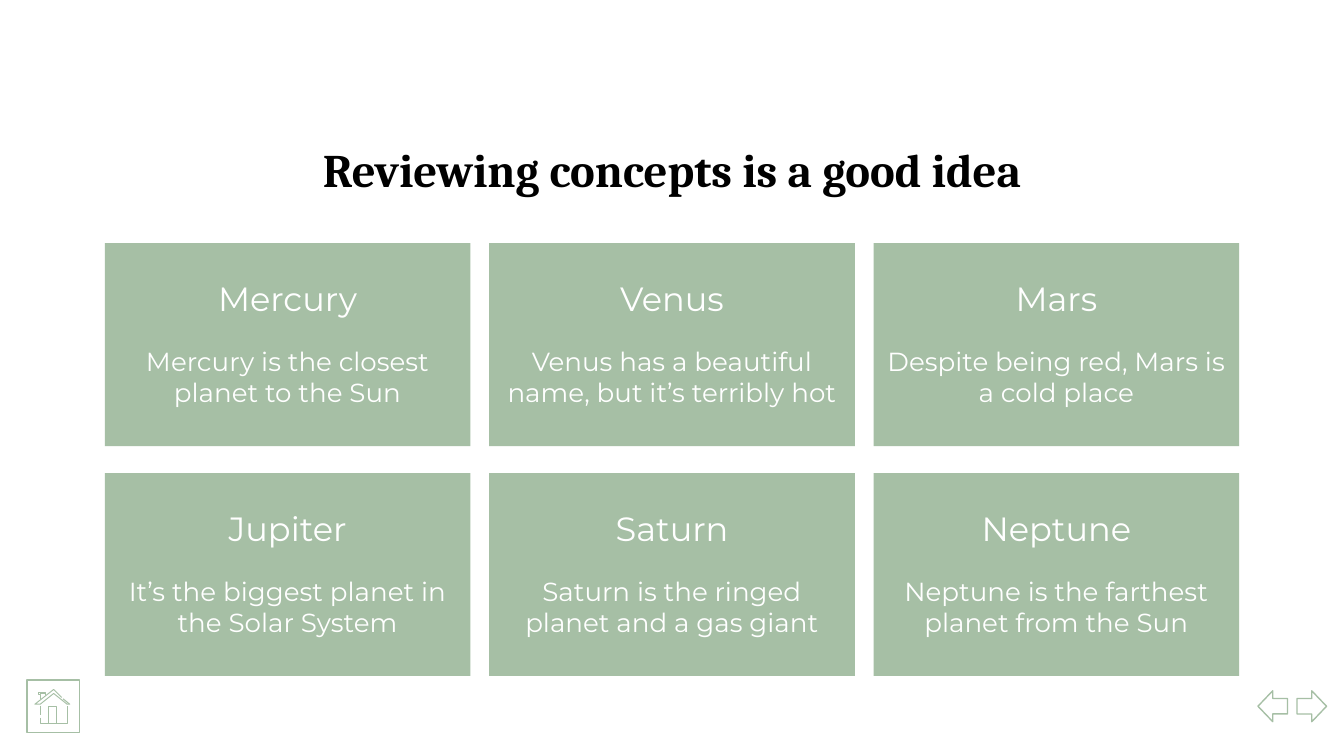
from dataclasses import dataclass

from pptx import Presentation
from pptx import util as u
from pptx.dml.color import RGBColor
from pptx.enum import shapes, text


@dataclass(frozen=True)
class Theme:
    sage: RGBColor = RGBColor(0xA6, 0xBF, 0xA5)
    white: RGBColor = RGBColor(0xFF, 0xFF, 0xFF)
    black: RGBColor = RGBColor(0, 0, 0)
    heading_font: str = "Cambria"
    body_font: str = "Montserrat"
    title_size: int = 25
    name_size: int = 18
    fact_size: int = 14
    outline: float = 0.75
    icon_stroke: float = 0.5


@dataclass(frozen=True)
class Box:
    left: float
    top: float
    width: float
    height: float

    def lengths(self) -> tuple:
        return tuple(u.Inches(v) for v in (self.left, self.top, self.width, self.height))


@dataclass(frozen=True)
class Planet:
    name: str
    fact: str


THEME = Theme()
PLANETS = [
    Planet("Mercury", "Mercury is the closest planet to the Sun"),
    Planet("Venus", "Venus has a beautiful name, but it’s terribly hot"),
    Planet("Mars", "Despite being red, Mars is a cold place"),
    Planet("Jupiter", "It’s the biggest planet in the Solar System"),
    Planet("Saturn", "Saturn is the ringed planet and a gas giant"),
    Planet("Neptune", "Neptune is the farthest planet from the Sun"),
]
COLUMNS = 3
CARD = Box(0.78, 1.81, 2.72, 1.51)
COLUMN_STEP, ROW_STEP = 2.86, 1.71

# Strokes of the home icon, in hundredths of an inch on the slide
HOUSE_STROKES = [
    [(47, 519.5), (52.5, 524.5), (49.5, 524.5), (39.5, 516.3), (29.5, 524.5),
     (26.5, 524.5), (39.5, 513.3), (45.5, 518.7)],  # roof
    [(29.5, 520.5), (29.5, 517), (29, 517), (29, 515.3), (34.5, 515.3), (34.5, 517)],  # chimney
    [(29.5, 516.5), (33.5, 516.5)],  # chimney cap
    [(29.5, 525), (29.5, 532.5)],  # left wall
    [(29.5, 534), (29.5, 537.5), (49.5, 537.5), (49.5, 525)],  # base and right wall
    [(36.5, 537.5), (36.5, 526.5), (42.5, 526.5), (42.5, 537.5)],  # door
]


def add_label(slide, box: Box, words: str, size: int, font: str, color: RGBColor,
              bold: bool = False, anchor=text.MSO_ANCHOR.TOP) -> None:
    frame = slide.shapes.add_textbox(*box.lengths()).text_frame
    frame.word_wrap = True
    frame.vertical_anchor = anchor
    frame.margin_left = frame.margin_right = u.Inches(0.1)
    frame.margin_top = frame.margin_bottom = u.Inches(0.1)
    paragraph = frame.paragraphs[0]
    paragraph.alignment = text.PP_ALIGN.CENTER
    run = paragraph.add_run()
    run.text = words
    run.font.name = font
    run.font.size = u.Pt(size)
    run.font.bold = bold
    run.font.color.rgb = color


def add_block(slide, kind, box: Box, fill: RGBColor, outlined: bool = False):
    block = slide.shapes.add_shape(kind, *box.lengths())
    block.shadow.inherit = False
    block.fill.solid()
    block.fill.fore_color.rgb = fill
    if outlined:
        block.line.color.rgb = THEME.sage
        block.line.width = u.Pt(THEME.outline)
    else:
        block.line.fill.background()
    return block


def add_planet_card(slide, planet: Planet, box: Box) -> None:
    add_block(slide, shapes.MSO_SHAPE.RECTANGLE, box, THEME.sage)
    add_label(slide, Box(box.left, box.top + 0.22, box.width, 0.44), planet.name,
              THEME.name_size, THEME.body_font, THEME.white, anchor=text.MSO_ANCHOR.BOTTOM)
    add_label(slide, Box(box.left, box.top + 0.66, box.width, 0.64), planet.fact,
              THEME.fact_size, THEME.body_font, THEME.white)


def add_home_button(slide) -> None:
    add_block(slide, shapes.MSO_SHAPE.RECTANGLE, Box(0.2, 5.06, 0.39, 0.39),
              THEME.white, outlined=True)
    first, *others = HOUSE_STROKES
    builder = slide.shapes.build_freeform(*first[0], scale=u.Inches(0.01))
    builder.add_line_segments(first[1:], close=False)
    for stroke in others:
        builder.move_to(*stroke[0])
        builder.add_line_segments(stroke[1:], close=False)
    house = builder.convert_to_shape()
    house.shadow.inherit = False
    house.fill.background()
    house.line.color.rgb = THEME.sage
    house.line.width = u.Pt(THEME.icon_stroke)


def add_page_arrows(slide) -> None:
    for left, rotation in ((9.36, 0), (9.65, 180)):
        arrow = add_block(slide, shapes.MSO_SHAPE.LEFT_ARROW, Box(left, 5.14, 0.22, 0.23),
                          THEME.white, outlined=True)
        arrow.rotation = rotation


def main() -> None:
    deck = Presentation()
    deck.slide_width = u.Inches(10)
    deck.slide_height = deck.slide_width * 9 // 16
    slide = deck.slides.add_slide(deck.slide_layouts[6])

    add_label(slide, Box(0.78, 0.95, 8.44, 0.6), "Reviewing concepts is a good idea",
              THEME.title_size, THEME.heading_font, THEME.black, bold=True)
    for index, planet in enumerate(PLANETS):
        row, column = divmod(index, COLUMNS)
        add_planet_card(slide, planet, Box(CARD.left + column * COLUMN_STEP,
                                           CARD.top + row * ROW_STEP,
                                           CARD.width, CARD.height))
    add_page_arrows(slide)
    add_home_button(slide)
    deck.save("out.pptx")


if __name__ == "__main__":
    main()
